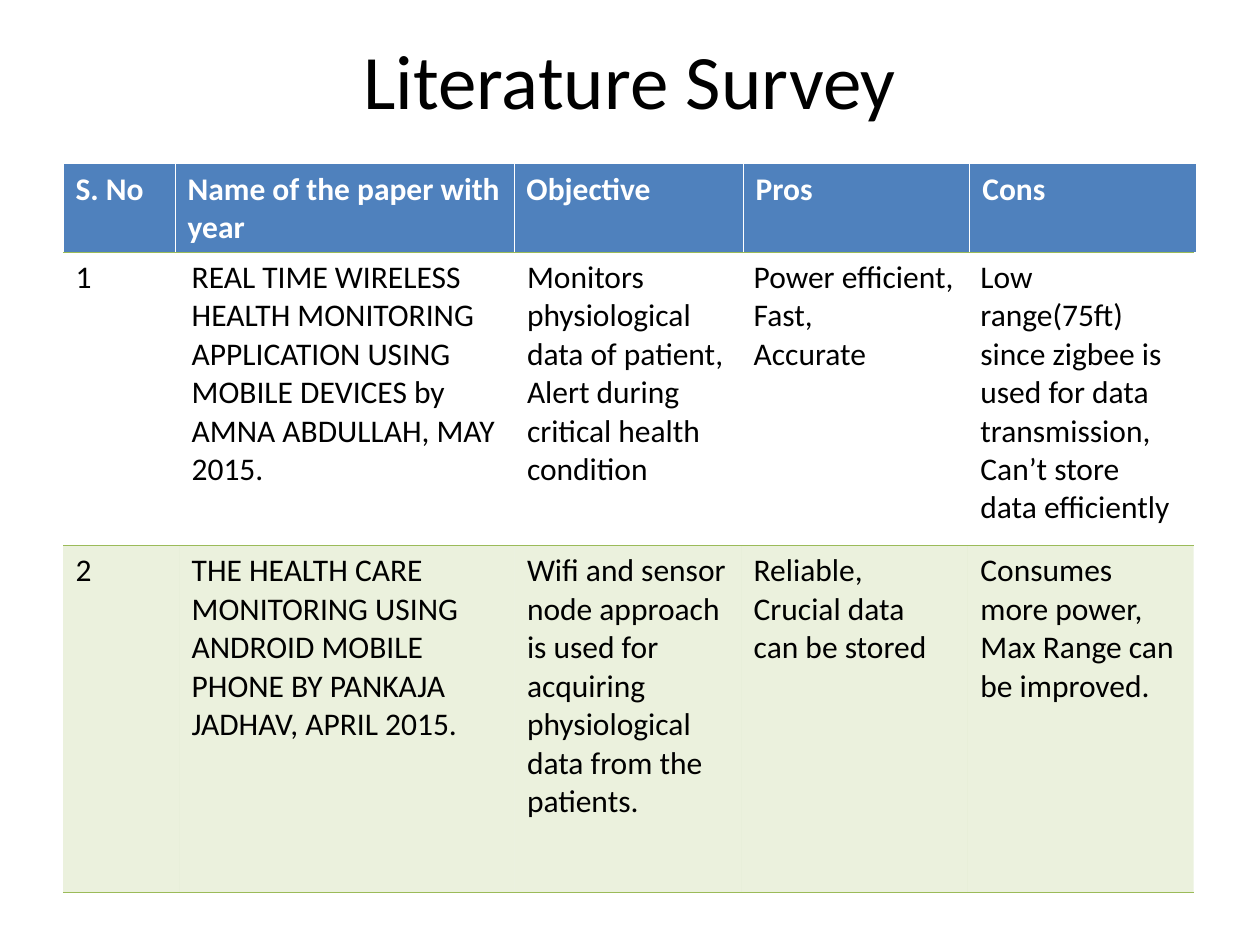
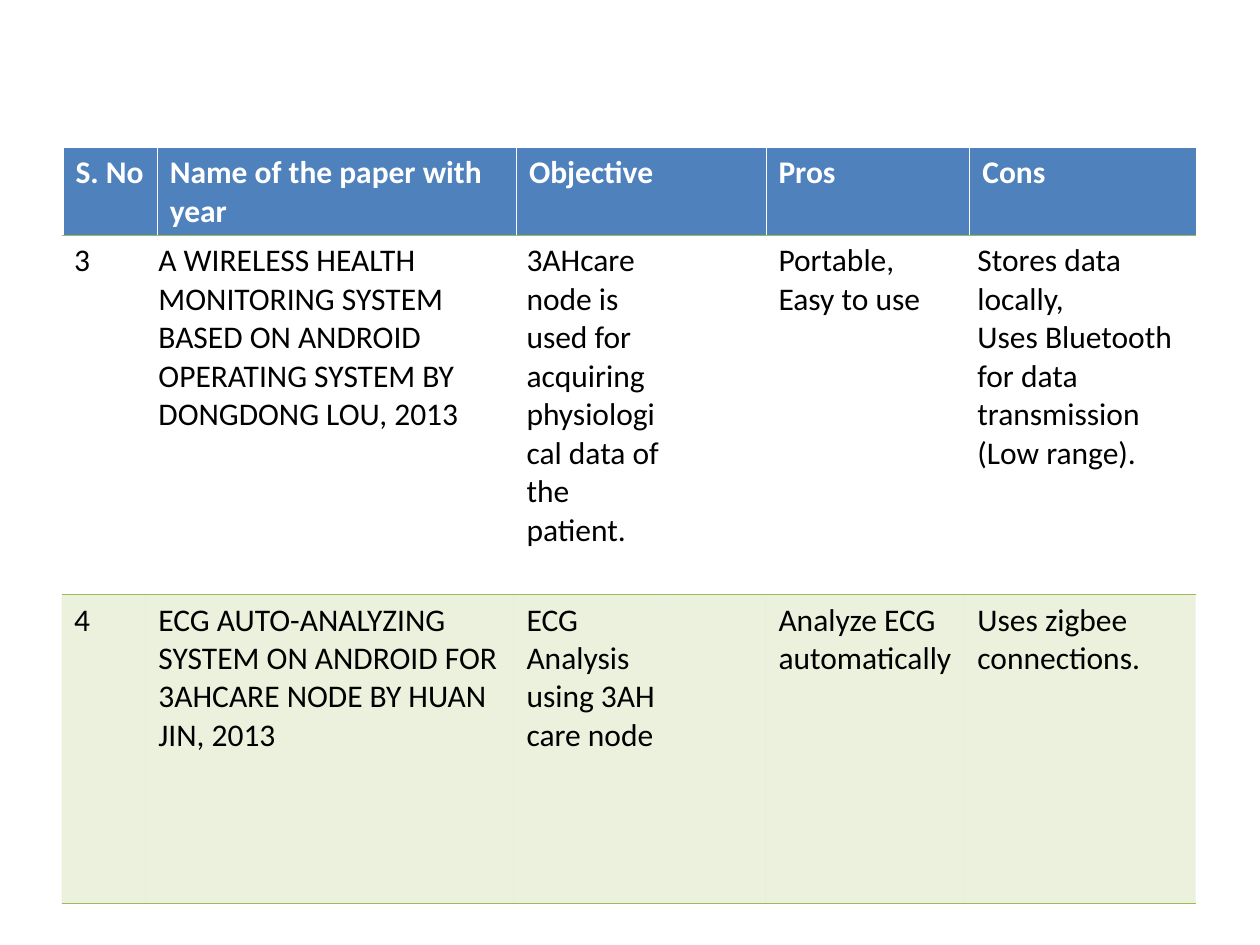
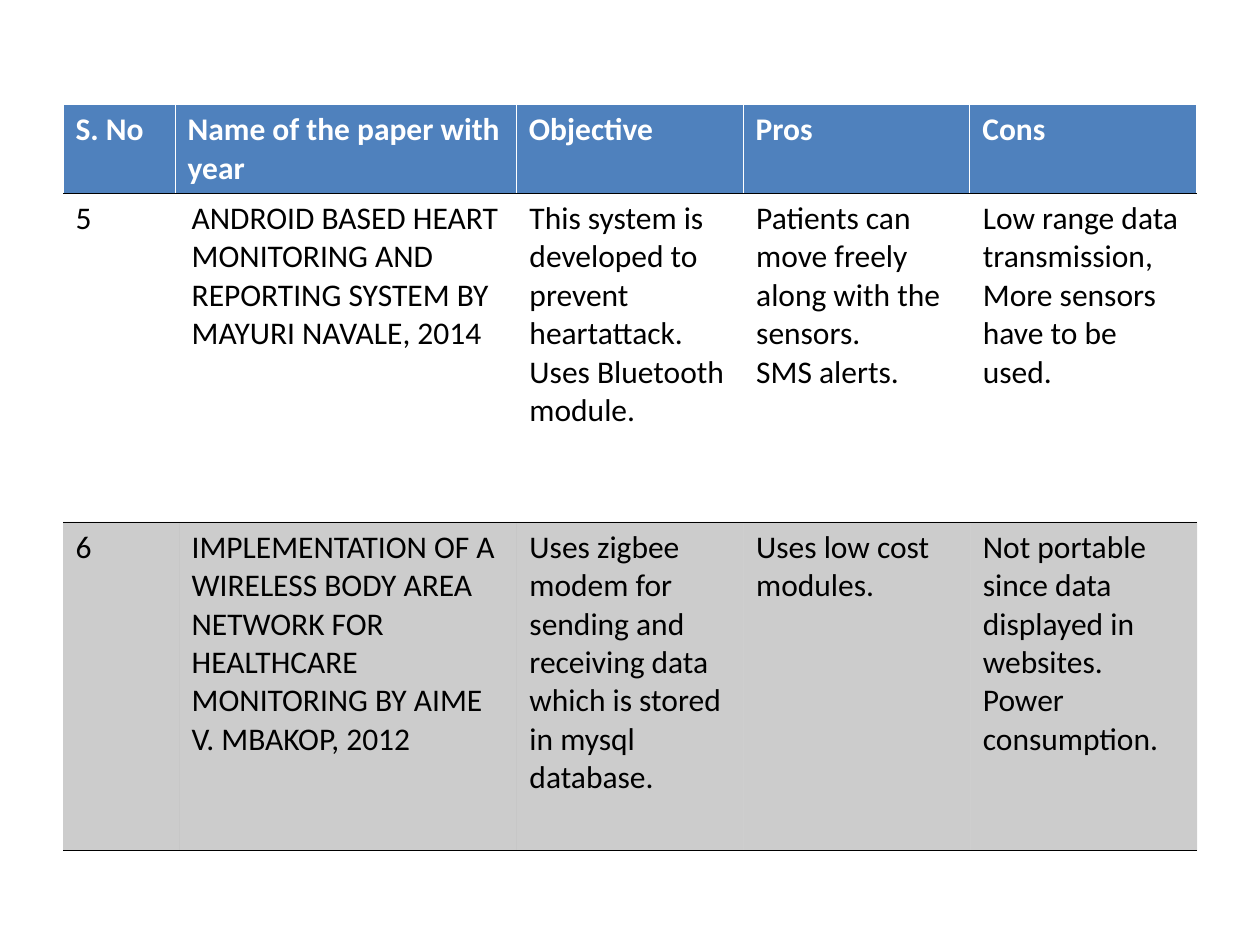
"""Build the literature survey slides: a header strip and a table of papers on each."""
from lxml.etree import SubElement
from pptx import Presentation
from pptx.dml.color import RGBColor
from pptx.enum.text import MSO_ANCHOR, PP_ALIGN
from pptx.oxml.ns import qn
from pptx.util import Cm, Pt

BLACK = RGBColor(0x00, 0x00, 0x00)
WHITE = RGBColor(0xFF, 0xFF, 0xFF)
BLUE = RGBColor(0x4F, 0x81, 0xBD)
GREEN = RGBColor(0x9B, 0xBB, 0x59)

FONT = "Calibri"
LEFT = 1.27
HEADER_HEIGHT = 1.8
HAIRLINE = 0.45
HEADINGS = ["S. No", "Name of the paper with year", "Objective", "Pros", "Cons"]
HEADER_EDGES = {"L": (WHITE, HAIRLINE), "R": (WHITE, HAIRLINE),
                "T": (WHITE, HAIRLINE), "B": (WHITE, 1.47)}

SURVEY = [
    {
        "title": "Literature Survey",
        "header_top": 3.3,
        "header_widths": [2.26, 6.83, 4.62, 4.57, 4.57],
        "papers_at": (LEFT, 5.08),
        "paper_widths": [2.34, 6.76, 4.57, 4.57, 4.55],
        "paper_heights": [5.92, 6.98],
        "accent": GREEN,
        "papers": [
            ["1",
             "REAL TIME WIRELESS HEALTH MONITORING APPLICATION USING "
             "MOBILE DEVICES by AMNA ABDULLAH, MAY 2015.",
             "Monitors physiological data of patient,\n"
             "Alert during critical health condition",
             "Power efficient,\nFast,\nAccurate",
             "Low range(75ft) since zigbee is used for data transmission,\n"
             "Can’t store data efficiently"],
            ["2",
             "THE HEALTH CARE MONITORING USING ANDROID MOBILE PHONE "
             "BY PANKAJA JADHAV, APRIL 2015.",
             "Wifi and sensor node approach is used for acquiring "
             "physiological data from the patients.",
             "Reliable,\nCrucial data can be stored",
             "Consumes more power,\nMax Range can be improved."],
        ],
    },
    {
        "header_top": 2.97,
        "header_widths": [1.9, 7.24, 5.03, 4.11, 4.57],
        "papers_at": (1.24, 4.75),
        "paper_widths": [1.7, 7.42, 3.18, 1.9, 4.01, 4.65],
        "paper_heights": [7.24, 6.22],
        "accent": GREEN,
        "papers": [
            ["3",
             "A WIRELESS HEALTH MONITORING SYSTEM BASED ON ANDROID "
             "OPERATING SYSTEM BY DONGDONG LOU, 2013",
             "3AHcare node is used for acquiring physiological data of the patient.",
             "",
             "Portable,\nEasy to use",
             "Stores data locally,\nUses Bluetooth for data transmission\n(Low range)."],
            ["4",
             "ECG AUTO-ANALYZING SYSTEM ON ANDROID FOR 3AHCARE NODE BY HUAN JIN, 2013",
             "ECG Analysis using 3AH care node",
             "",
             "Analyze ECG automatically",
             "Uses zigbee connections."],
        ],
    },
    {
        "header_top": 2.11,
        "header_widths": [2.26, 6.88, 4.57, 4.57, 4.57],
        "papers_at": (LEFT, 3.89),
        "paper_widths": [2.34, 6.81, 4.57, 4.57, 4.57],
        "paper_heights": [6.63, 6.63],
        "accent": BLACK,
        "papers": [
            ["5",
             "ANDROID BASED HEART MONITORING AND REPORTING SYSTEM BY MAYURI NAVALE, 2014",
             "This system is developed to prevent heartattack.\nUses Bluetooth module.",
             "Patients can move freely along with the sensors.\nSMS alerts.",
             "Low range data transmission,\nMore sensors have to be used."],
            ["6",
             "IMPLEMENTATION OF A WIRELESS BODY AREA NETWORK FOR HEALTHCARE "
             "MONITORING BY AIME V. MBAKOP, 2012",
             "Uses zigbee modem for sending and receiving data which is "
             "stored in mysql database.",
             "Uses low cost modules.",
             "Not portable since data displayed in websites.\nPower consumption."],
        ],
    },
]


class SurveyDeck:
    """Hold the deck style and the current slide, and draw each kind of element."""

    def __init__(self):
        self.deck = Presentation()
        self.deck.slide_width, self.deck.slide_height = Cm(25.4), Cm(19.05)
        self.slide = None

    def add_slide(self):
        """Start a new blank slide."""
        self.slide = self.deck.slides.add_slide(self.deck.slide_layouts[6])

    def add_lines(self, frame, text, size, color=BLACK, bold=False, align=PP_ALIGN.LEFT):
        """Add each line of the text as a paragraph with one run."""
        for index, line in enumerate(text.splitlines()):
            paragraph = frame.add_paragraph() if index else frame.paragraphs[0]
            paragraph.alignment = align
            run = paragraph.add_run()
            run.text = line
            font = run.font
            font.name, font.size, font.bold = FONT, Pt(size), bold
            font.color.rgb = color

    def title(self, text):
        """Add the large centred slide title."""
        frame = self.slide.shapes.add_textbox(Cm(LEFT), Cm(0), Cm(22.86), Cm(3.18)).text_frame
        frame.word_wrap = True
        frame.vertical_anchor = MSO_ANCHOR.MIDDLE
        self.add_lines(frame, text, 44, align=PP_ALIGN.CENTER)

    def edge(self, cell, edges):
        """Draw the given cell edges and clear the others."""
        properties = cell._tc.get_or_add_tcPr()
        for side in "LRTB":
            line = SubElement(properties, qn(f"a:ln{side}"))
            if side in edges:
                color, width = edges[side]
                line.set("w", str(int(Pt(width))))
                fill = SubElement(line, qn("a:solidFill"))
                SubElement(fill, qn("a:srgbClr")).set("val", str(color))
            else:
                SubElement(line, qn("a:noFill"))

    def tint(self, cell, color, opacity):
        """Fill the cell with a colour at a percentage of opacity."""
        if not opacity:
            cell.fill.background()
            return
        cell.fill.solid()
        cell.fill.fore_color.rgb = color
        if opacity < 100:
            shade = cell._tc.tcPr.find(f"{qn('a:solidFill')}/{qn('a:srgbClr')}")
            SubElement(shade, qn("a:alpha")).set("val", str(opacity * 1000))

    def table(self, position, widths, heights, rows, edges, fill, opacities,
              color=BLACK, bold=False):
        """Add a table whose rows have their own fill opacity."""
        left, top = position
        grid = self.slide.shapes.add_table(
            len(heights), len(widths), Cm(left), Cm(top),
            Cm(sum(widths)), Cm(sum(heights))).table
        grid.first_row = grid.horz_banding = False
        for column, width in zip(grid.columns, widths):
            column.width = Cm(width)
        for row, height, texts, opacity in zip(grid.rows, heights, rows, opacities):
            row.height = Cm(height)
            for cell, text in zip(row.cells, texts):
                self.edge(cell, edges)
                self.tint(cell, fill, opacity)
                self.add_lines(cell.text_frame, text, 18, color, bold)

    def header(self, top, widths):
        """Add the blue strip of column headings."""
        self.table((LEFT, top), widths, [HEADER_HEIGHT], [HEADINGS],
                   HEADER_EDGES, BLUE, [100], WHITE, True)

    def papers(self, position, widths, heights, papers, accent):
        """Add the ruled table of papers, the second row tinted."""
        rule = (accent, HAIRLINE)
        self.table(position, widths, heights, papers,
                   {"T": rule, "B": rule}, accent, [0, 20])


def main():
    """Build and save the survey."""
    survey = SurveyDeck()
    for page in SURVEY:
        survey.add_slide()
        if "title" in page:
            survey.title(page["title"])
        survey.header(page["header_top"], page["header_widths"])
        survey.papers(page["papers_at"], page["paper_widths"],
                      page["paper_heights"], page["papers"], page["accent"])
    survey.deck.save("out.pptx")


if __name__ == "__main__":
    main()
